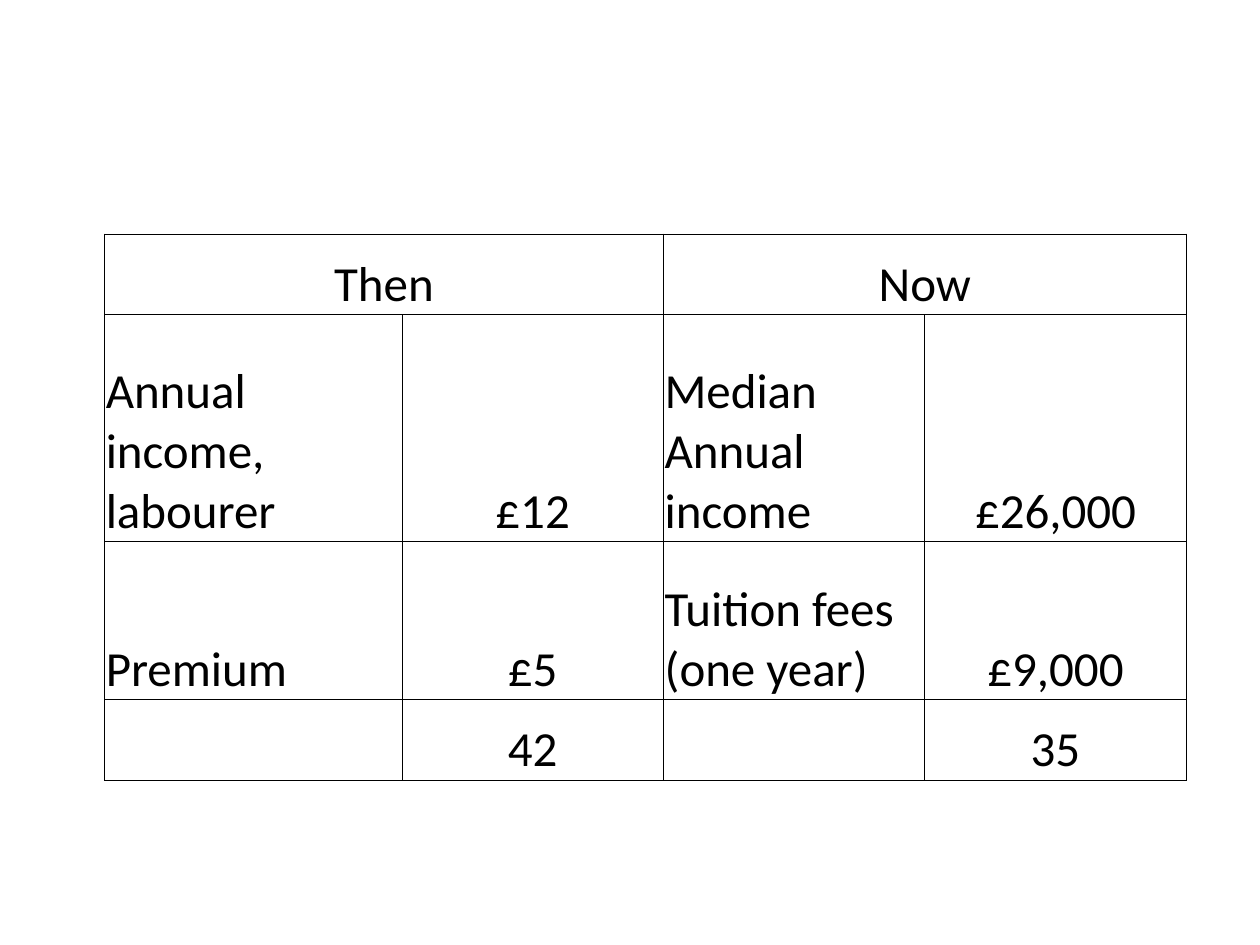
from lxml import etree
from pptx import Presentation
from pptx.dml.color import RGBColor
from pptx.enum import text as t
from pptx.oxml import ns
from pptx.util import Pt

HUES = {"ink": "000000", "page": "FFFFFF"}
COLS = [170, 149.4, 149.4, 149.4]
ROWS = [46, 129.6, 90.4, 46]
DATA = [
    ["Then", "", "Now", ""],
    ["Annual income, labourer", "£12", "Median Annual income", "£26,000"],
    ["Premium", "£5", "Tuition fees (one year)", "£9,000"],
    ["", "42", "", "35"],
]


def write(frame, words, size=28, font="Calibri", hue="ink", align=t.PP_ALIGN.LEFT):
    """Put formatted words in a text frame."""
    para = frame.paragraphs[0]
    para.alignment = align
    run = para.add_run()
    run.text = words
    run.font.size = Pt(size)
    run.font.name = font
    run.font.color.rgb = RGBColor.from_string(HUES[hue])


def edge(cell, hue="ink", width=0.5):
    """Draw a thin line on all four sides of a cell."""
    props = cell._tc.get_or_add_tcPr()
    for spot, side in enumerate(("lnL", "lnR", "lnT", "lnB")):
        line = etree.Element(ns.qn("a:" + side), w=str(Pt(width)))
        fill = etree.SubElement(line, ns.qn("a:solidFill"))
        etree.SubElement(fill, ns.qn("a:srgbClr"), val=HUES[hue])
        props.insert(spot, line)


def style(cell):
    """Set the fill, margins, anchor and borders of a cell."""
    cell.fill.solid()
    cell.fill.fore_color.rgb = RGBColor.from_string(HUES["page"])
    cell.margin_left = cell.margin_right = cell.margin_top = Pt(0.75)
    cell.margin_bottom = Pt(0)
    cell.vertical_anchor = t.MSO_ANCHOR.BOTTOM
    edge(cell)


def add_grid(slide, left, top):
    """Add the table that compares then and now."""
    grid = slide.shapes.add_table(
        len(ROWS), len(COLS), Pt(left), Pt(top), Pt(sum(COLS)), Pt(sum(ROWS))
    ).table
    grid.first_row = grid.horz_banding = False
    for col, width in zip(grid.columns, COLS):
        col.width = Pt(width)
    for row, height in zip(grid.rows, ROWS):
        row.height = Pt(height)
    for y, line in enumerate(DATA):
        for x, words in enumerate(line):
            cell = grid.cell(y, x)
            style(cell)
            if words:
                mid = y == 0 or x % 2 == 1
                align = t.PP_ALIGN.CENTER if mid else t.PP_ALIGN.LEFT
                write(cell.text_frame, words, align=align)
    for x in (0, 2):
        grid.cell(0, x).merge(grid.cell(0, x + 1))


def main():
    """Build and save the slide."""
    deck = Presentation()
    deck.slide_width, deck.slide_height = Pt(720), Pt(540)
    slide = deck.slides.add_slide(deck.slide_layouts[6])
    add_grid(slide, 59.7, 133.8)
    deck.save("out.pptx")


if __name__ == "__main__":
    main()
